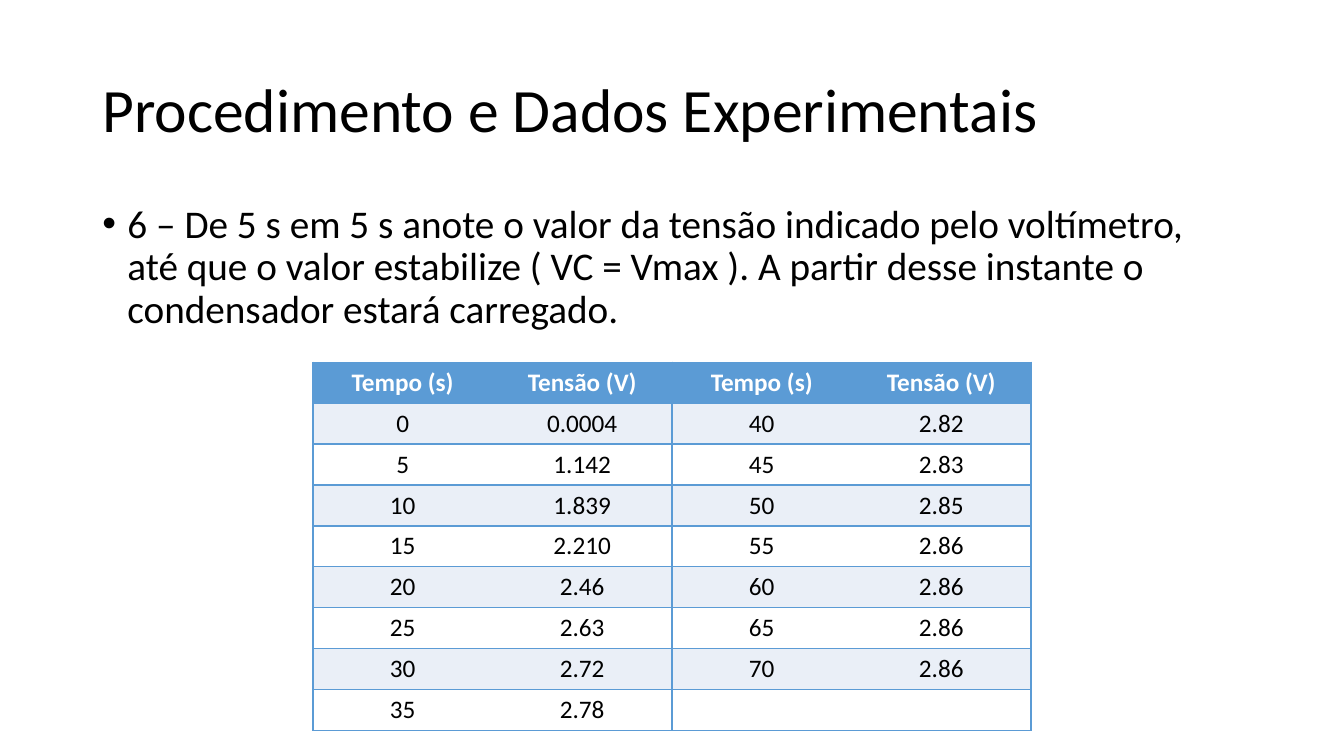
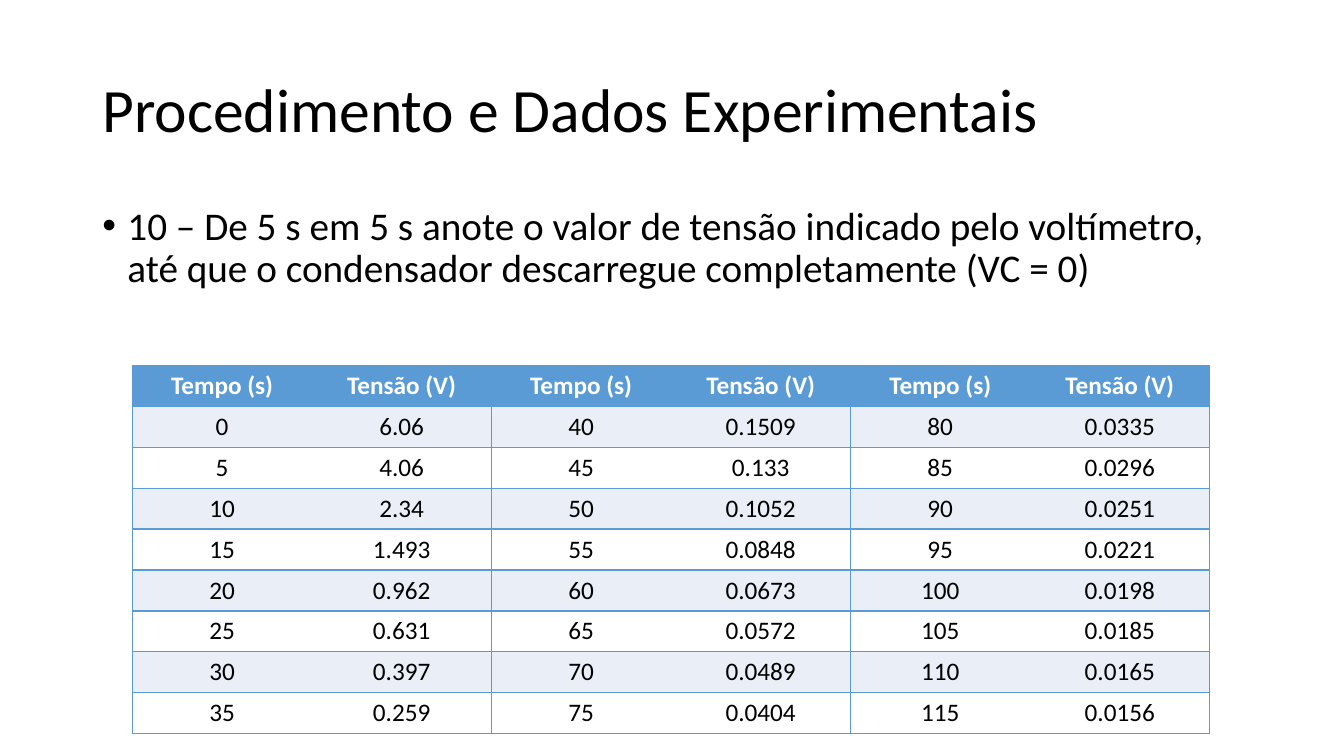
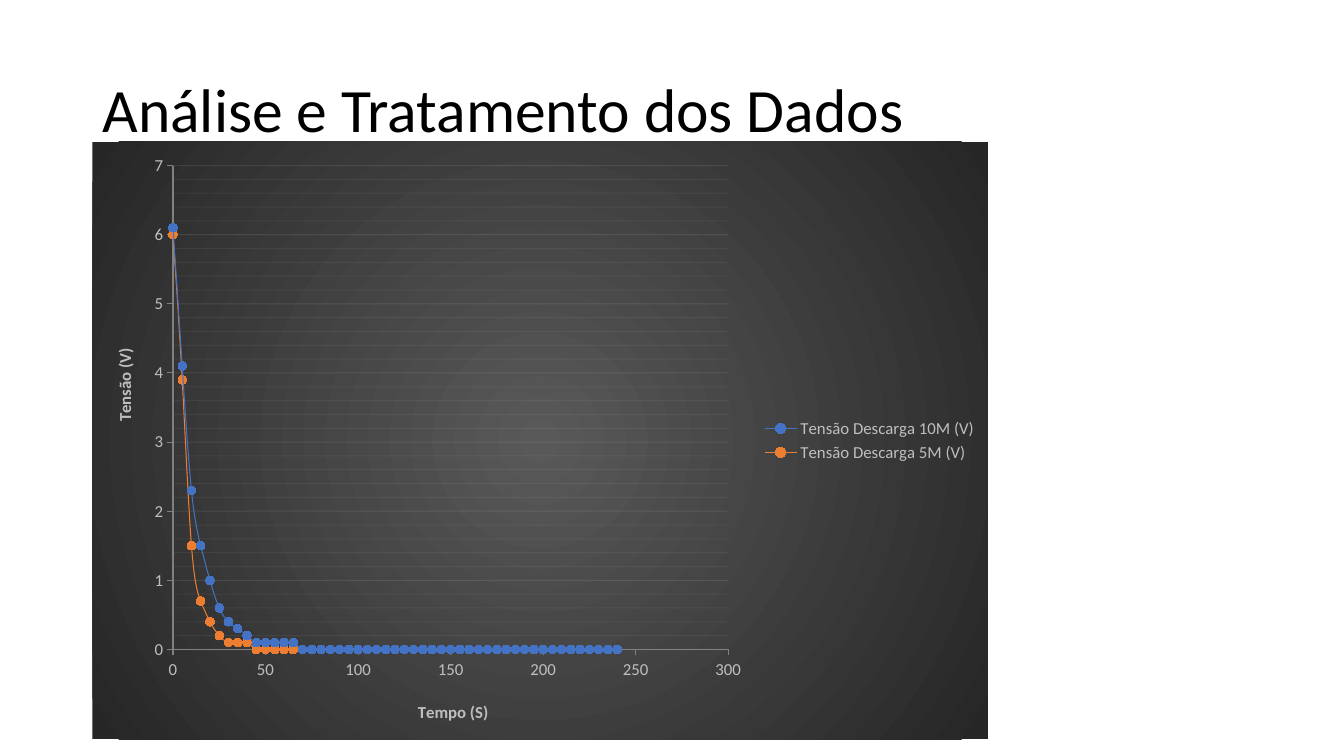
from copy import deepcopy
from dataclasses import dataclass

from lxml.etree import SubElement
from pptx import Presentation
from pptx.chart.axis import ValueAxis
from pptx.chart.chart import Chart
from pptx.chart.data import XyChartData
from pptx.dml.color import RGBColor
from pptx.enum.chart import XL_CHART_TYPE as ChartType
from pptx.enum.chart import XL_LEGEND_POSITION as LegendPosition
from pptx.enum.chart import XL_MARKER_STYLE as MarkerStyle
from pptx.enum.chart import XL_TICK_MARK as TickMark
from pptx.enum.text import MSO_ANCHOR as Anchor
from pptx.enum.text import MSO_AUTO_SIZE as AutoSize
from pptx.enum.text import PP_ALIGN as Align
from pptx.oxml import parse_xml
from pptx.oxml.ns import nsdecls, qn
from pptx.slide import Slide
from pptx.text.text import Font
from pptx.util import Emu, Pt

EMU_PER_PX = 9525
FONT = "Calibri"
BLACK, WHITE = "000000", "FFFFFF"
HEADER_BLUE, BAND_BLUE = "5B9BD5", "EAEFF7"
CHART_TEXT, AXIS_GRAY, GRID_GRAY = "BFBFBF", "808080", "F2F2F2"
LEFT, CONTENT_WIDTH = 88, 1104
COLUMN_WIDTH, ROW_HEIGHT, BODY_ROWS = 171, 39, 8
TIME_STEP = 5
HEADINGS = ("Tempo (s)", "Tensão (V)")
PROCEDURE_TITLE = "Procedimento e Dados Experimentais "


@dataclass(frozen=True)
class Reading:
    instruction: str
    text_top: int
    table_left: int
    table_top: int
    voltages: tuple[str, ...]


@dataclass(frozen=True)
class Discharge:
    name: str
    line_color: str
    marker_color: str
    voltages: tuple[float, ...]


@dataclass(frozen=True)
class AxisStyle:
    title: str
    title_x: float
    title_y: float
    maximum: int
    step: int
    rotation: int


READINGS = (
    Reading(
        "6 – De 5 s em 5 s anote o valor da tensão indicado pelo voltímetro, até que o valor "
        "estabilize ( VC = Vmax ). A partir desse instante o condensador estará carregado.",
        190, 298, 345,
        ("0.0004", "1.142", "1.839", "2.210", "2.46", "2.63", "2.72", "2.78",
         "2.82", "2.83", "2.85", "2.86", "2.86", "2.86", "2.86"),
    ),
    Reading(
        "10 – De 5 s em 5 s anote o valor de tensão indicado pelo voltímetro, até que o "
        "condensador descarregue completamente (VC = 0)",
        192, 126, 348,
        ("6.06", "4.06", "2.34", "1.493", "0.962", "0.631", "0.397", "0.259",
         "0.1509", "0.133", "0.1052", "0.0848", "0.0673", "0.0572", "0.0489", "0.0404",
         "0.0335", "0.0296", "0.0251", "0.0221", "0.0198", "0.0185", "0.0165", "0.0156"),
    ),
)
DISCHARGES = (
    Discharge("Tensão Descarga 10M (V)", "4472C4", "3E70CA",
              (6.1, 4.1, 2.3, 1.5, 1, 0.6, 0.4, 0.3, 0.2) + (0.1,) * 5 + (0,) * 35),
    Discharge("Tensão Descarga 5M (V)", "ED7D31", "F67B28",
              (6, 3.9, 1.5, 0.7, 0.4, 0.2, 0.1, 0.1, 0.1) + (0,) * 16),
)
TIME_AXIS = AxisStyle("Tempo (S)", 0.36, 0.93, 300, 50, 0)
VOLTAGE_AXIS = AxisStyle("Tensão (V)", 0.02, 0.34, 7, 1, -5400000)


def px(length: int) -> Emu:
    return Emu(length * EMU_PER_PX)


def color(value: str) -> RGBColor:
    return RGBColor.from_string(value)


def style_font(font: Font, size: int, tint: str, bold: bool = False) -> None:
    font.name = FONT
    font.size = Pt(size)
    font.bold = bold
    font.color.rgb = color(tint)


def add_page(deck: Presentation, title: str) -> Slide:
    page = deck.slides.add_slide(deck.slide_layouts[5])
    box = page.shapes.title
    box.left, box.top, box.width, box.height = px(LEFT), px(38), px(CONTENT_WIDTH), px(139)
    frame = box.text_frame
    frame.text = title
    frame.auto_size = AutoSize.NONE
    frame.vertical_anchor = Anchor.MIDDLE
    para = frame.paragraphs[0]
    para.alignment = Align.LEFT
    para.line_spacing = 0.9
    style_font(para.runs[0].font, 44, BLACK)
    return page


def add_bullet(page: Slide, top: int, text: str) -> None:
    box = page.shapes.add_textbox(px(LEFT), px(top), px(CONTENT_WIDTH), px(457))
    frame = box.text_frame
    frame.word_wrap = True
    frame.text = text
    para = frame.paragraphs[0]
    para.line_spacing = 0.9
    para.space_before = Pt(10)
    style_font(para.runs[0].font, 28, BLACK)
    properties = para._p.get_or_add_pPr()
    properties.set("marL", str(px(24)))
    properties.set("indent", str(px(-24)))
    SubElement(properties, qn("a:buFont")).set("typeface", "Arial")
    SubElement(properties, qn("a:buChar")).set("char", "•")


def set_borders(cell, hidden_side: str) -> None:
    properties = cell._tc.get_or_add_tcPr()
    for index, side in enumerate("LRTB"):
        paint = ("<a:noFill/>" if side == hidden_side
                 else f'<a:solidFill><a:srgbClr val="{HEADER_BLUE}"/></a:solidFill>')
        properties.insert(index, parse_xml(
            f'<a:ln{side} {nsdecls("a")} w="{Pt(1)}">{paint}</a:ln{side}>'))


def add_table(page: Slide, left: int, top: int, rows: list[tuple[str, str]]) -> None:
    frame = page.shapes.add_table(
        len(rows), 2, px(left), px(top), px(2 * COLUMN_WIDTH), px(len(rows) * ROW_HEIGHT))
    table = frame.table
    table.horz_banding = False
    for column in table.columns:
        column.width = px(COLUMN_WIDTH)
    for row_index, row in enumerate(rows):
        table.rows[row_index].height = px(ROW_HEIGHT)
        is_header = row_index == 0
        fill = HEADER_BLUE if is_header else BAND_BLUE if row_index % 2 else WHITE
        for column_index, text in enumerate(row):
            cell = table.cell(row_index, column_index)
            cell.fill.solid()
            cell.fill.fore_color.rgb = color(fill)
            set_borders(cell, "RL"[column_index])
            if text:
                cell.text_frame.text = text
                para = cell.text_frame.paragraphs[0]
                para.alignment = Align.CENTER
                style_font(para.runs[0].font, 18, WHITE if is_header else BLACK, is_header)


def add_reading_page(deck: Presentation, reading: Reading) -> None:
    page = add_page(deck, PROCEDURE_TITLE)
    add_bullet(page, reading.text_top, reading.instruction)
    cells = [(str(index * TIME_STEP), voltage)
             for index, voltage in enumerate(reading.voltages)]
    for block, start in enumerate(range(0, len(cells), BODY_ROWS)):
        body = cells[start:start + BODY_ROWS]
        body += [("", "")] * (BODY_ROWS - len(body))
        add_table(page, reading.table_left + block * 2 * COLUMN_WIDTH,
                  reading.table_top, [HEADINGS, *body])


def set_layout(parent, index: int, inner: bool = False, **fractions: float) -> None:
    for previous in parent.findall(qn("c:layout")):
        parent.remove(previous)
    layout = parse_xml(f'<c:layout {nsdecls("c")}><c:manualLayout/></c:layout>')
    manual = layout[0]
    if inner:
        SubElement(manual, qn("c:layoutTarget")).set("val", "inner")
    for side in "xy":
        SubElement(manual, qn(f"c:{side}Mode")).set("val", "edge")
    for side, fraction in fractions.items():
        SubElement(manual, qn(f"c:{side}")).set("val", str(fraction))
    parent.insert(index, layout)


def style_axis(axis: ValueAxis, style: AxisStyle) -> None:
    axis.minimum_scale, axis.maximum_scale = 0, style.maximum
    axis.major_unit, axis.minor_unit = style.step, style.step / 5
    axis.major_tick_mark, axis.minor_tick_mark = TickMark.OUTSIDE, TickMark.NONE
    axis.has_major_gridlines = False
    axis.format.line.color.rgb = color(AXIS_GRAY)
    axis.format.line.width = Pt(0.75)
    style_font(axis.tick_labels.font, 12, CHART_TEXT)
    title = axis.axis_title
    title.text_frame.text = style.title
    style_font(title.text_frame.paragraphs[0].runs[0].font, 12, CHART_TEXT, True)
    body = next(title._element.iter(qn("a:bodyPr")))
    body.set("rot", str(style.rotation))
    body.set("vert", "horz")
    set_layout(title._element, 1, x=style.title_x, y=style.title_y)


def add_gridlines(chart: Chart) -> None:
    axis = chart.value_axis
    axis.has_major_gridlines = axis.has_minor_gridlines = True
    line = axis.major_gridlines.format.line
    line.color.rgb = color(GRID_GRAY)
    line.width = Pt(0.75)
    major = next(chart._chartSpace.iter(qn("c:majorGridlines")))
    minor = next(chart._chartSpace.iter(qn("c:minorGridlines")))
    minor.append(deepcopy(major[0]))
    for grid, opacity in ((major, 10000), (minor, 5000)):
        paint = next(grid.iter(qn("a:srgbClr")))
        SubElement(paint, qn("a:alpha")).set("val", str(opacity))


def fill_chart(chart: Chart) -> None:
    background = parse_xml(
        f'<c:spPr {nsdecls("c", "a")}><a:gradFill><a:gsLst>'
        '<a:gs pos="0"><a:srgbClr val="595959"/></a:gs>'
        '<a:gs pos="100000"><a:srgbClr val="262626"/></a:gs></a:gsLst>'
        '<a:path path="circle"><a:fillToRect l="50000" t="50000" r="50000" b="50000"/></a:path>'
        "</a:gradFill><a:ln><a:noFill/></a:ln></c:spPr>")
    chart._chartSpace.find(qn("c:chart")).addnext(background)


def add_discharge_page(deck: Presentation) -> None:
    page = add_page(deck, "Análise e Tratamento dos Dados")
    data = XyChartData()
    for discharge in DISCHARGES:
        points = data.add_series(discharge.name)
        for index, voltage in enumerate(discharge.voltages):
            points.add_data_point(index * TIME_STEP, voltage)
    chart = page.shapes.add_chart(
        ChartType.XY_SCATTER_SMOOTH, px(LEFT), px(135), px(853), px(569), data).chart
    style_font(chart.font, 10, BLACK)
    chart.has_title = False
    chart.has_legend = True
    chart.legend.position = LegendPosition.RIGHT
    chart.legend.include_in_layout = False
    style_font(chart.legend.font, 12, CHART_TEXT)
    chart.plots[0].vary_by_categories = False
    for series, discharge in zip(chart.plots[0].series, DISCHARGES):
        series._element.get_or_add_smooth().val = True
        series.format.line.color.rgb = color(discharge.line_color)
        series.format.line.width = Pt(0.75)
        marker = series.marker
        marker.style, marker.size = MarkerStyle.CIRCLE, 6
        marker.format.fill.solid()
        marker.format.fill.fore_color.rgb = color(discharge.marker_color)
        marker.format.line.color.rgb = color(discharge.line_color)
    style_axis(chart.category_axis, TIME_AXIS)
    style_axis(chart.value_axis, VOLTAGE_AXIS)
    add_gridlines(chart)
    plot_area = next(chart._chartSpace.iter(qn("c:plotArea")))
    set_layout(plot_area, 0, inner=True, x=0.09, y=0.04, w=0.62, h=0.81)
    fill_chart(chart)


def main() -> None:
    deck = Presentation()
    deck.slide_width, deck.slide_height = px(1280), px(720)
    for reading in READINGS:
        add_reading_page(deck, reading)
    add_discharge_page(deck)
    deck.save("out.pptx")


if __name__ == "__main__":
    main()
